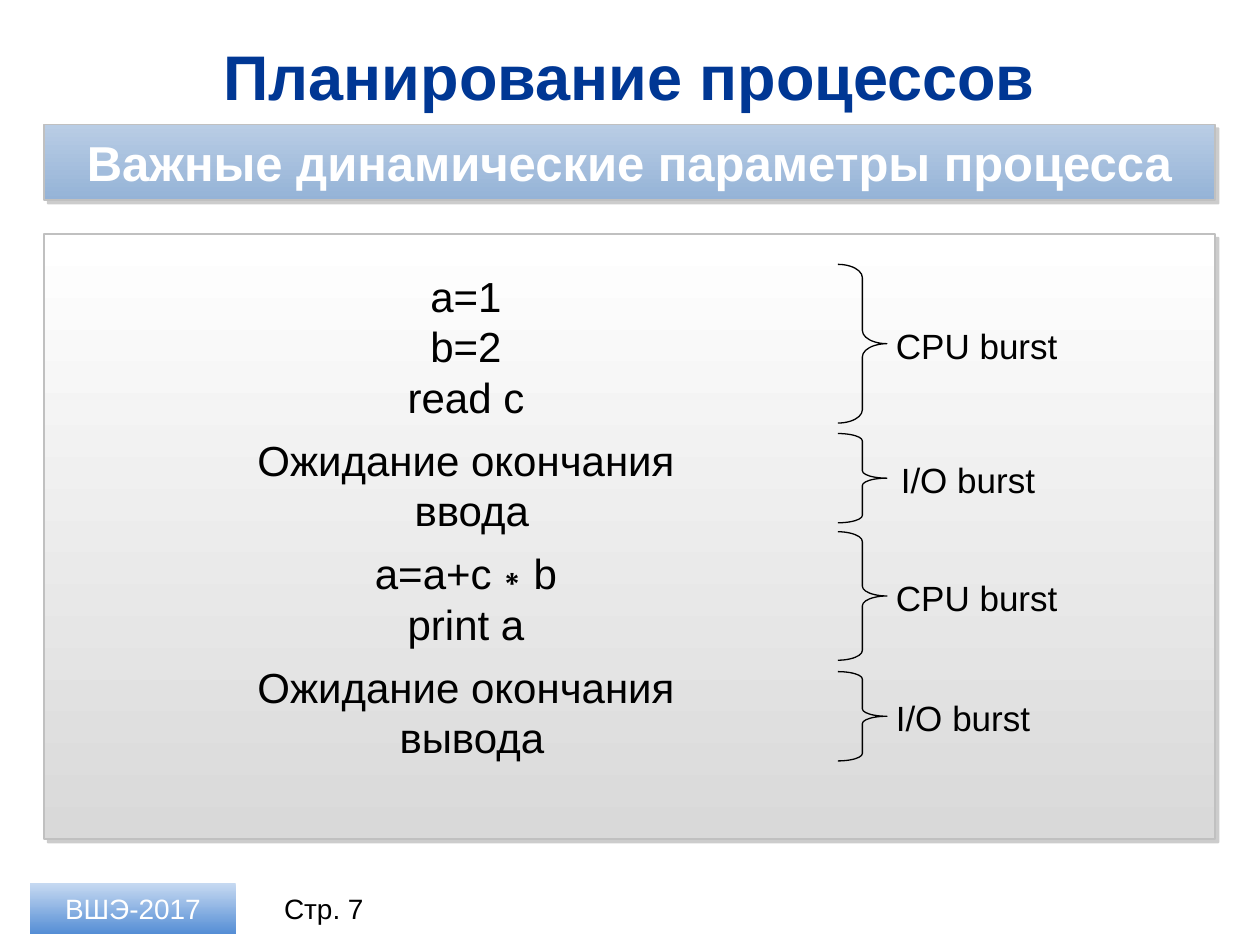
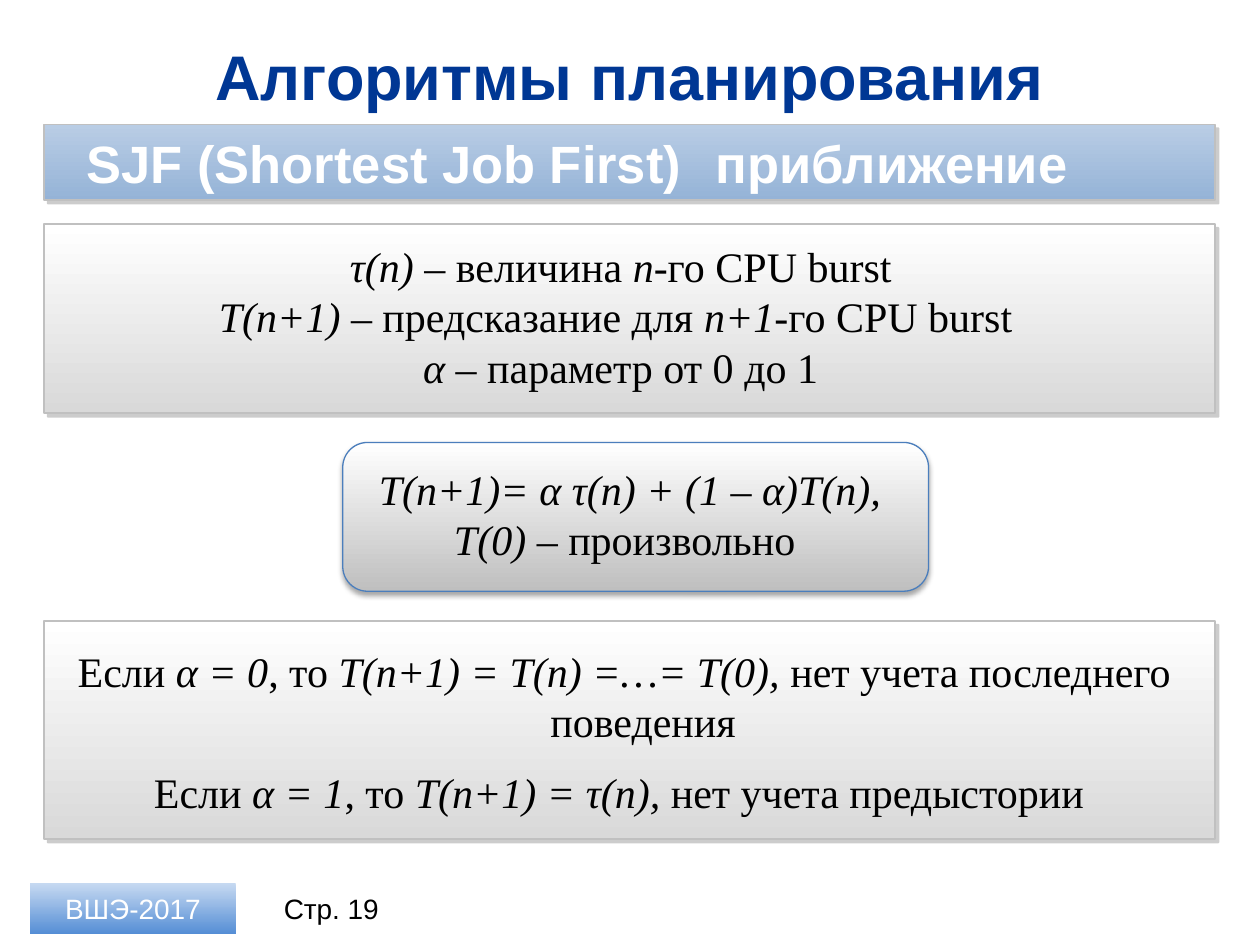
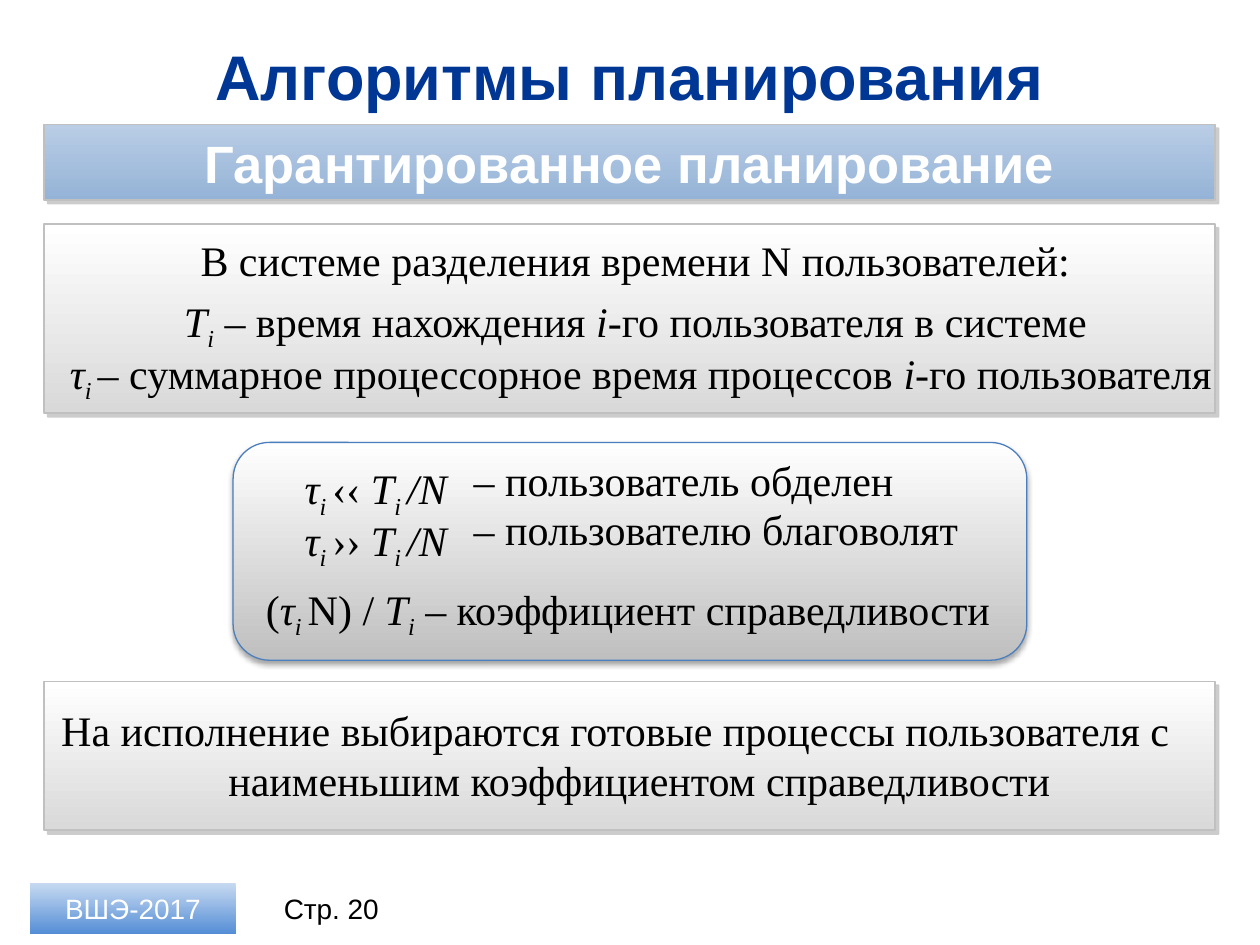
import dataclasses

import pptx
import pptx.dml.color
import pptx.enum.shapes
import pptx.enum.text
import pptx.oxml
import pptx.oxml.ns
import pptx.util

Cm = pptx.util.Cm
Pt = pptx.util.Pt
RGB = pptx.dml.color.RGBColor.from_string
Kind = pptx.enum.shapes.MSO_SHAPE
Align = pptx.enum.text.PP_ALIGN
Anchor = pptx.enum.text.MSO_ANCHOR


@dataclasses.dataclass(frozen=True)
class Theme:
    sans: str = "Arial"
    serif: str = "Times New Roman"
    ink: str = "000000"
    white: str = "FFFFFF"
    navy: str = "003794"
    edge: str = "C0C0C0"
    blue: str = "4B7EBC"
    band: tuple = ("B9CDE5", "95B3D7")
    panel: tuple = ("FFFFFF", "D9D9D9")
    card: tuple = ("FFFFFF", "BFBFBF")
    badge: tuple = ("C6D9F1", "558ED5")
    hard: tuple = ("808080", 40, 0, 3, 45)
    soft: tuple = ("000000", 35, 3.1, 1.8, 90)
    title: int = 36
    head: int = 30
    tight: int = 28
    body: int = 24
    label: int = 20
    foot: int = 16
    left: float = 0.89
    width: float = 23.6


def put(item, vals):
    for name, val in vals.items():
        setattr(item, name, val)


class Deck:
    def __init__(self, theme):
        self.theme = theme
        self.prs = pptx.Presentation()
        put(self.prs, {"slide_width": Cm(25.4), "slide_height": Cm(19.05)})

    def start(self, title, page, left):
        t = self.theme
        self.slide = self.prs.slides.add_slide(self.prs.slide_layouts[6])
        self.text((t.left, 0.66, t.width, 1.73), [title], size=t.title,
                  color=t.navy, bold=True, mid=True)
        self.text((left, 17.81, 2.74, 1.02), [f"Стр. {page}"], size=t.foot, mid=True)
        badge = self.shape(Kind.RECTANGLE, (0.61, 17.81, 4.14, 1.02), t.badge)
        self.say(badge.text_frame, ["ВШЭ-2017"], size=t.foot, color=t.white, mid=True)

    def say(self, frame, lines, size=None, color=None, font=None, bold=False,
            align=Align.CENTER, mid=False, hang=False, pitch=None):
        t = self.theme
        put(frame, {"word_wrap": True,
                    "vertical_anchor": Anchor.MIDDLE if mid else Anchor.TOP})
        for n, line in enumerate(lines):
            words, gaps = line if isinstance(line, tuple) else (line, {})
            para = frame.add_paragraph() if n else frame.paragraphs[0]
            put(para, {"alignment": align, "line_spacing": pitch, **gaps})
            if hang:
                props = para._p.get_or_add_pPr()
                props.set("marL", str(Cm(0.97)))
                props.set("indent", str(-Cm(0.97)))
            for i, part in enumerate(words.split("*")):
                for j, bit in enumerate(part.split("_")):
                    for k, piece in enumerate(bit.split("\n")):
                        if k:
                            para.add_line_break()
                        if not piece:
                            continue
                        run = para.add_run()
                        run.text = piece
                        put(run.font, {"name": font or t.sans,
                                       "size": Pt(size or t.body),
                                       "bold": bold, "italic": i % 2 == 1})
                        run.font.color.rgb = RGB(color or t.ink)
                        if j % 2:
                            run._r.get_or_add_rPr().set("baseline", "-25000")

    def text(self, box, lines, **style):
        item = self.slide.shapes.add_textbox(*map(Cm, box))
        self.say(item.text_frame, lines, **style)

    def prose(self, box, lines, **style):
        self.text(box, lines, font=self.theme.serif, **style)

    def shape(self, kind, box, fill=None, line=None, weight=1, shade=None):
        item = self.slide.shapes.add_shape(kind, *map(Cm, box))
        item.shadow.inherit = False
        if fill:
            item.fill.gradient()
            item.fill.gradient_angle = 270
            for stop, tone in zip(item.fill.gradient_stops, fill):
                stop.color.rgb = RGB(tone)
        else:
            item.fill.background()
        if line:
            item.line.color.rgb = RGB(line)
            item.line.width = Pt(weight)
        else:
            item.line.fill.background()
        if shade:
            self.cast(item, *shade)
        return item

    def cast(self, item, tone, alpha, blur, dist, angle):
        space = pptx.oxml.ns.nsdecls("a")
        effect = item._element.spPr.find(pptx.oxml.ns.qn("a:effectLst"))
        effect.append(pptx.oxml.parse_xml(
            f'<a:outerShdw {space} blurRad="{Pt(blur)}" dist="{Pt(dist)}" '
            f'dir="{angle * 60000}" algn="tl" rotWithShape="0"><a:srgbClr val="{tone}">'
            f'<a:alpha val="{alpha * 1000}"/></a:srgbClr></a:outerShdw>'))

    def block(self, top, height, fill):
        t = self.theme
        return self.shape(Kind.RECTANGLE, (t.left, top, t.width, height), fill,
                          t.edge, shade=t.hard)

    def panel(self, top, height):
        self.block(top, height, self.theme.panel)

    def band(self, words=None, size=None):
        t = self.theme
        item = self.block(2.51, 1.52, t.band)
        if words:
            self.say(item.text_frame, [words], size=size or t.head, color=t.white,
                     bold=True, mid=True)

    def card(self, box):
        t = self.theme
        self.shape(Kind.ROUNDED_RECTANGLE, box, t.card, t.blue, 0.75, t.soft)

    def brace(self, top, height, bend, words, left):
        t = self.theme
        item = self.shape(Kind.RIGHT_BRACE, (16.89, top, 0.99, height),
                          line=t.ink, weight=0.75)
        item.adjustments[0] = bend
        self.text((left, top + height / 2 - 0.52, 4.39, 1.12), [words],
                  size=t.label, align=Align.LEFT)


def bursts(deck):
    deck.start("Планирование процессов", 7, 5.16)
    deck.band("Важные динамические параметры процесса", deck.theme.tight)
    deck.panel(4.72, 12.19)
    above = {"space_before": Pt(7.2)}
    deck.text((1.7, 5.33, 15.39, 10.41), [
        "a=1", "b=2", "read c",
        ("Ожидание окончания\n ввода", {**above, "space_after": Pt(7.2)}),
        "a=a+c∗b", "print a",
        ("Ожидание окончания\n вывода", above)])
    for row in ((5.33, 3.2, 0.27, "CPU burst", 17.81),
                (8.74, 1.8, 0.15, "I/O burst", 17.91),
                (10.72, 2.59, 0.2, "CPU burst", 17.81),
                (13.54, 1.8, 0.15, "I/O burst", 17.81)):
        deck.brace(*row)


def guess(deck):
    t = deck.theme
    deck.start("Алгоритмы планирования", 19, 5.31)
    deck.band()
    for left, width, words in ((1.5, 12.8, "SJF (Shortest Job First)"),
                               (13.89, 9.6, " приближение")):
        deck.text((left, 2.51, width, 1.55), [words], size=t.head, color=t.white,
                  bold=True, align=Align.LEFT)
    deck.panel(4.52, 3.81)
    deck.prose((3.51, 4.72, 18.01, 3.33), [
        "*τ(n)* – величина *n*-го CPU burst",
        "*T(n+1)* – предсказание для *n+1*-го CPU burst ",
        "*α* – параметр от 0 до 1"])
    deck.card((6.91, 8.92, 11.81, 3))
    deck.prose((6.35, 9.22, 12.7, 2.31), [
        "*T(n+1)= α τ(n) + (1 – α)T(n),*",
        "*T(0)* – произвольно "], hang=True)
    deck.panel(12.52, 4.39)
    deck.prose((0.89, 12.88, 23.39, 3.84), [
        "Если *α = 0*, то *T(n+1) = T(n) =…= T(0), *нет учета последнего поведения ",
        ("Если *α = 1*, то *T(n+1) = τ(n),* нет учета предыстории ",
         {"space_before": Pt(12)})], hang=True)


def fair(deck):
    deck.start("Алгоритмы планирования", 20, 5.31)
    deck.band("Гарантированное планирование")
    deck.panel(4.52, 3.81)
    deck.prose((0.71, 4.72, 24.41, 3.25), [
        "В системе разделения времени N пользователей: ",
        ("*T_i_* – время нахождения *i*-го пользователя в системе ",
         {"space_before": Pt(6)}),
        "*τ_i _*– суммарное процессорное время процессов *i*-го пользователя"],
        pitch=0.9)
    deck.card((4.7, 8.92, 16, 4.39))
    deck.prose((5.89, 9.22, 12.7, 2.11),
               [f"*τ_i _*{sign} *T_i _/N*" for sign in ("‹‹", "››")],
               align=Align.LEFT, pitch=0.9)
    for left, top, width, words in (
            (9.3, 9.04, 11.2, "*– *пользователь обделен"),
            (9.3, 10.03, 11.2, "*– *пользователю благоволят"),
            (5.11, 11.63, 15.19, "(*τ_i _*N) / *T_i_* – коэффициент справедливости")):
        deck.prose((left, top, width, 1.27), [words], align=Align.LEFT)
    deck.panel(13.74, 3)
    deck.prose((0.71, 14.07, 23.39, 2.31), [
        "На исполнение выбираются готовые процессы пользователя с "
        "наименьшим коэффициентом справедливости"], hang=True)


def main():
    deck = Deck(Theme())
    for build in (bursts, guess, fair):
        build(deck)
    deck.prs.save("out.pptx")


if __name__ == "__main__":
    main()
